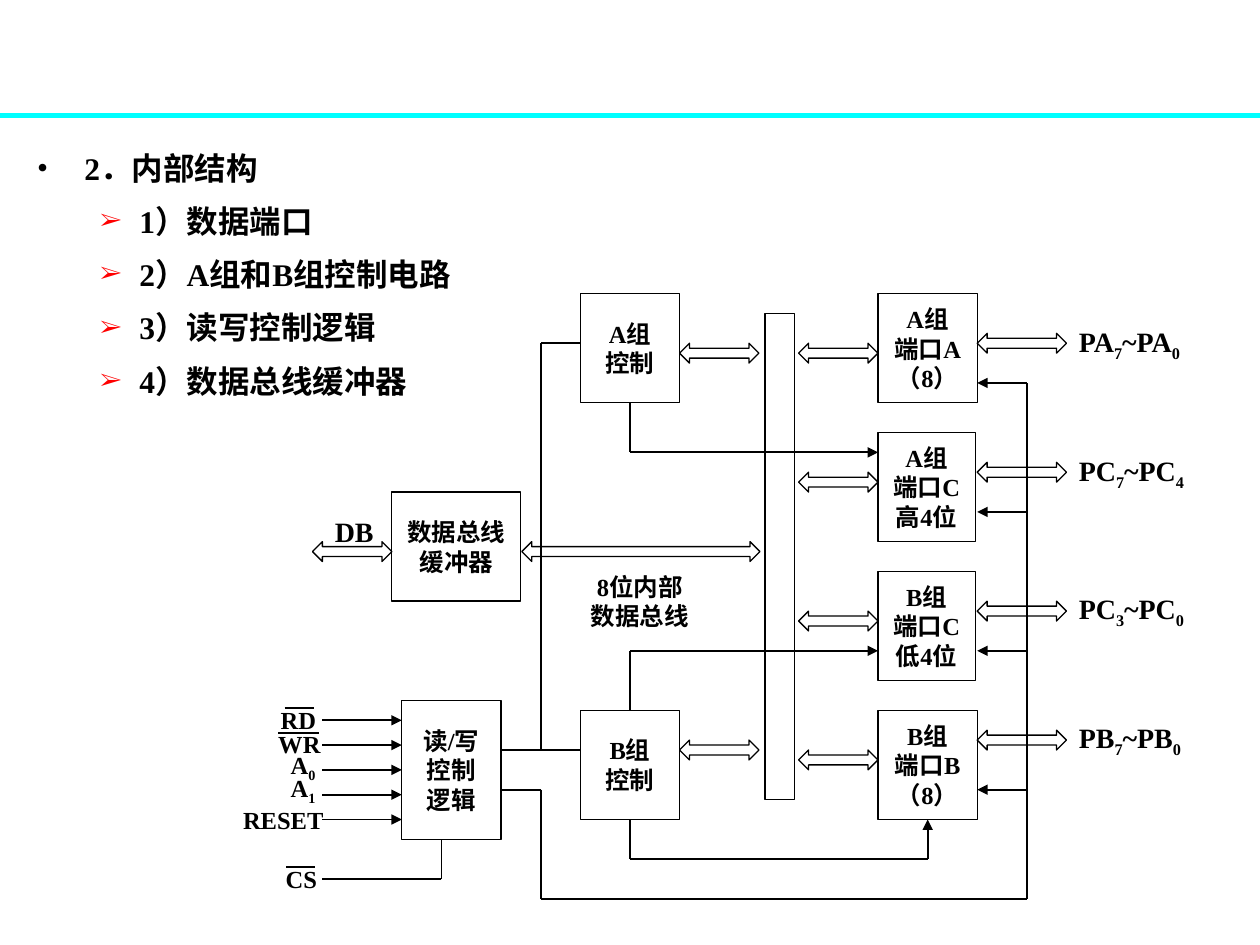
from lxml import etree
from pptx import Presentation
from pptx import util as u
from pptx.dml.color import RGBColor
from pptx.enum import shapes, text
from pptx.oxml import ns

COLORS = {"ink": "000000", "rule": "00FFFF", "marker": "FF0000"}
FONT = "Times New Roman"
LEFT, CENTER = text.PP_ALIGN.LEFT, text.PP_ALIGN.CENTER


def color(name):
    return RGBColor.from_string(COLORS[name])


def sub(parent, tag, **attrs):
    return etree.SubElement(parent, ns.qn(tag), attrs)


def place(x, y, w, h):
    return [u.Cm(v) for v in (x, y, w, h)]


def style(p, size):
    p.font.name, p.font.size, p.font.bold = FONT, u.Pt(size), True
    p.font.color.rgb = color("ink")


def write(tf, lines, size, align, side=0.25):
    """Fill a frame; a line is a list of pieces, every second one subscript."""
    tf.word_wrap = True
    tf.vertical_anchor = text.MSO_ANCHOR.MIDDLE
    tf.margin_left = tf.margin_right = u.Cm(side)
    for i, pieces in enumerate(lines):
        p = tf.add_paragraph() if i else tf.paragraphs[0]
        p.alignment = align
        for j, piece in enumerate(pieces):
            r = p.add_run()
            r.text = piece
            if j % 2:
                r.font._element.set("baseline", "-25000")
        style(p, size)


def label(s, x, y, w, h, lines, size=14, align=LEFT, side=0.25):
    tf = s.shapes.add_textbox(*place(x, y, w, h)).text_frame
    write(tf, lines, size, align, side)


def outline(s, kind, x, y, w, h):
    sp = s.shapes.add_shape(kind, *place(x, y, w, h))
    sp.shadow.inherit = False
    sp.fill.background()
    sp.line.color.rgb = color("ink")
    sp.line.width = u.Pt(0.75)
    return sp


def block(s, x, y, w, h, *lines):
    """Box with narrow side margins, so that each line stays whole."""
    sp = outline(s, shapes.MSO_SHAPE.RECTANGLE, x, y, w, h)
    write(sp.text_frame, [[line] for line in lines], 14, CENTER, side=0.05)


def bus_arrow(s, x, y, w=1.6):
    outline(s, shapes.MSO_SHAPE.LEFT_RIGHT_ARROW, x, y, w, 0.4)


def wire(s, *points, arrow=False, ink="ink", width=1):
    """Join the points with straight lines, the last one with an arrowhead."""
    for start, end in zip(points, points[1:]):
        c = s.shapes.add_connector(shapes.MSO_CONNECTOR.STRAIGHT, *place(*start, *end))
        c.line.color.rgb = color(ink)
        c.line.width = u.Pt(width)
        sub(c._element.spPr, "a:effectLst")
    if arrow:
        sub(c.line._get_or_add_ln(), "a:tailEnd", type="triangle")


def outline_list(s, items):
    tf = s.shapes.add_textbox(*place(0.5, 2.72, 10, 5.8)).text_frame
    tf.word_wrap = True
    for i, item in enumerate(items):
        p = tf.add_paragraph() if i else tf.paragraphs[0]
        p.text = item
        p.line_spacing = 1.2
        left, hang, ink, mark = (2.06, 0.79, "marker", "➢") if i else (0.95, 0.95, "ink", "•")
        if i:
            p.level = 1
            p.space_before = u.Pt(4.5)
        pPr = p._p.get_or_add_pPr()
        pPr.set("marL", str(u.Cm(left)))
        pPr.set("indent", str(-u.Cm(hang)))
        sub(sub(pPr, "a:buClr"), "a:srgbClr", val=COLORS[ink])
        if i:
            sub(pPr, "a:buSzPct", val="75000")
        sub(pPr, "a:buFont", typeface=FONT)
        sub(pPr, "a:buChar", char=mark)
        style(p, 18)


def ports(s):
    # lines, box width, pin label, then offsets of pins, inner bus and control
    rows = [
        (("A组", "端口A", "（8）"), 2, ["PA", "7", "~PA", "0"], 0.8, 1, 1.8),
        (("A组", "端口C", "高4位"), 1.96, ["PC", "7", "~PC", "4"], 0.6, 0.8, 1.6),
        (("B组", "端口C", "低4位"), 1.96, ["PC", "3", "~PC", "0"], 0.6, 0.8, 1.6),
        (("B组", "端口B", "（8）"), 2, ["PB", "7", "~PB", "0"], 0.4, 0.8, 1.6),
    ]
    for i, (lines, w, pins, outer, inner, control) in enumerate(rows):
        top = 5.92 + 2.8 * i
        block(s, 17.7, top, w, 2.2, *lines)
        bus_arrow(s, 19.7, top + outer, 1.8)
        label(s, 21.5, top + outer - 0.4, 3.2, 1.2, [pins], 16)
        bus_arrow(s, 16.1, top + inner)
        wire(s, (20.7, top + control), (19.7, top + control), arrow=True)


def controllers(s):
    block(s, 11.7, 5.92, 2, 2.2, "A组", "控制")
    block(s, 11.7, 14.32, 2, 2.2, "B组", "控制")
    bus_arrow(s, 13.7, 6.92)
    bus_arrow(s, 13.7, 14.92)
    wire(s, (12.7, 8.12), (12.7, 9.12), (17.7, 9.12), arrow=True)
    wire(s, (12.7, 14.32), (12.7, 13.12), (17.7, 13.12), arrow=True)
    wire(s, (12.7, 16.52), (12.7, 17.32), (18.7, 17.32), (18.7, 16.52), arrow=True)


def data_bus(s):
    outline(s, shapes.MSO_SHAPE.RECTANGLE, 15.42, 6.32, 0.6, 9.8)
    block(s, 7.9, 9.92, 2.6, 2.2, "数据总线", "缓冲器")
    bus_arrow(s, 10.52, 10.92, 4.8)
    bus_arrow(s, 6.3, 10.92)
    label(s, 6.5, 10.12, 1.4, 1.2, [["DB"]], 16)
    label(s, 11.3, 11.32, 3.2, 1.6, [["8位内部"], ["数据总线"]], align=CENTER, side=0)


def read_write_logic(s):
    block(s, 8.1, 14.12, 2, 2.8, "读/写", "控制", "逻辑")
    for i in range(5):
        y = 14.52 + 0.5 * i
        wire(s, (6.5, y), (8.1, y), arrow=True)
    for x, y, name in [(5.41, 14.1, ["RD"]), (5.36, 14.6, ["WR"]), (5.61, 15.06, ["A", "0"]),
                       (5.61, 15.52, ["A", "1"]), (5.51, 17.32, ["CS"])]:
        label(s, x, y, 1.4, 0.8, [name])
    label(s, 4.9, 15.92, 1.8, 1.2, [["RESET"]], side=0)
    # Bars over the active-low signals
    for x1, x2, y in [(5.74, 6.32, 14.27), (5.61, 6.43, 14.78), (5.77, 6.35, 17.48)]:
        wire(s, (x1, y), (x2, y))
    # Chip select, group control and port control lines
    wire(s, (6.5, 17.72), (8.9, 17.72), (8.9, 16.92))
    wire(s, (10.1, 15.12), (11.7, 15.12))
    wire(s, (11.7, 6.92), (10.9, 6.92), (10.9, 15.12))
    wire(s, (10.1, 15.92), (10.9, 15.92), (10.9, 18.12), (20.7, 18.12), (20.7, 7.72))


def main():
    prs = Presentation()
    prs.slide_width, prs.slide_height = u.Cm(25.4), u.Cm(19.05)
    s = prs.slides.add_slide(prs.slide_layouts[6])
    # Header rule and topics
    wire(s, (0, 2.33), (25.4, 2.33), ink="rule", width=3)
    outline_list(s, ["2．内部结构", "1）数据端口", "2）A组和B组控制电路",
                     "3）读写控制逻辑", "4）数据总线缓冲器"])
    # Block diagram
    ports(s)
    controllers(s)
    data_bus(s)
    read_write_logic(s)
    prs.save("out.pptx")


if __name__ == "__main__":
    main()
